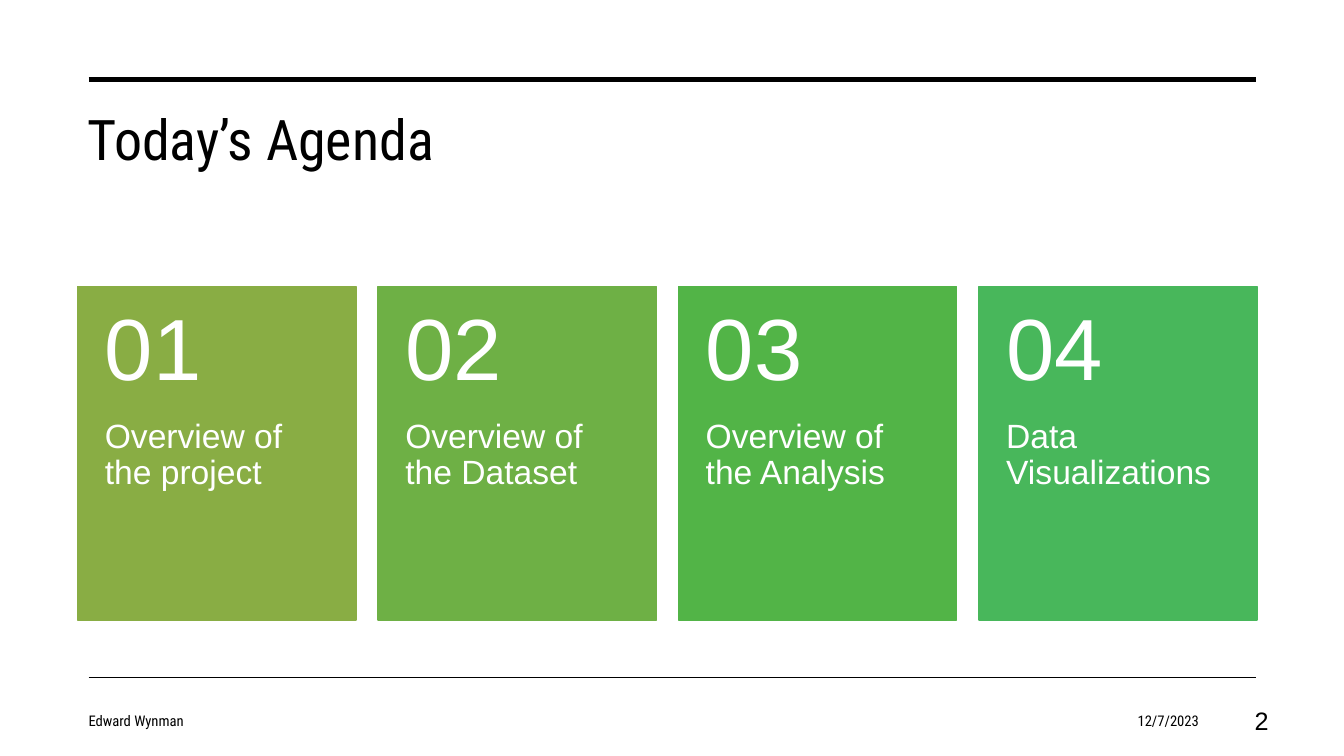
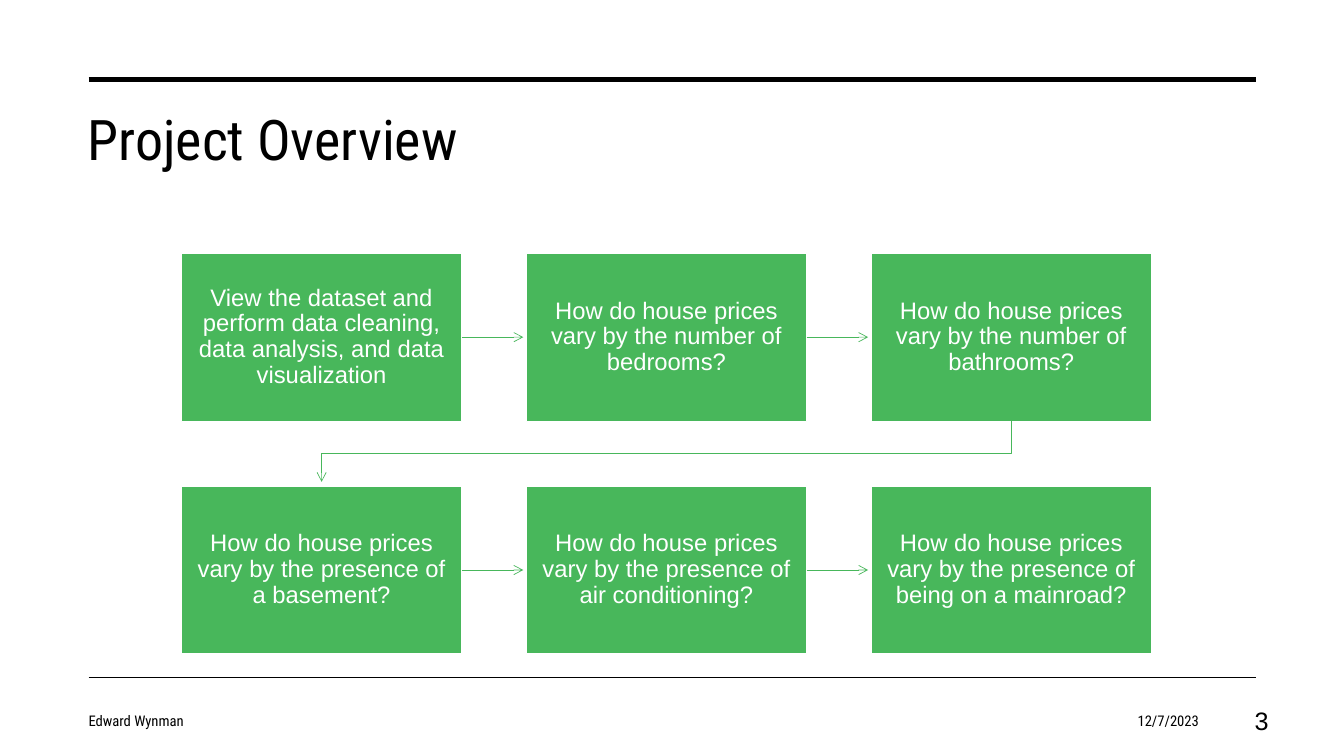
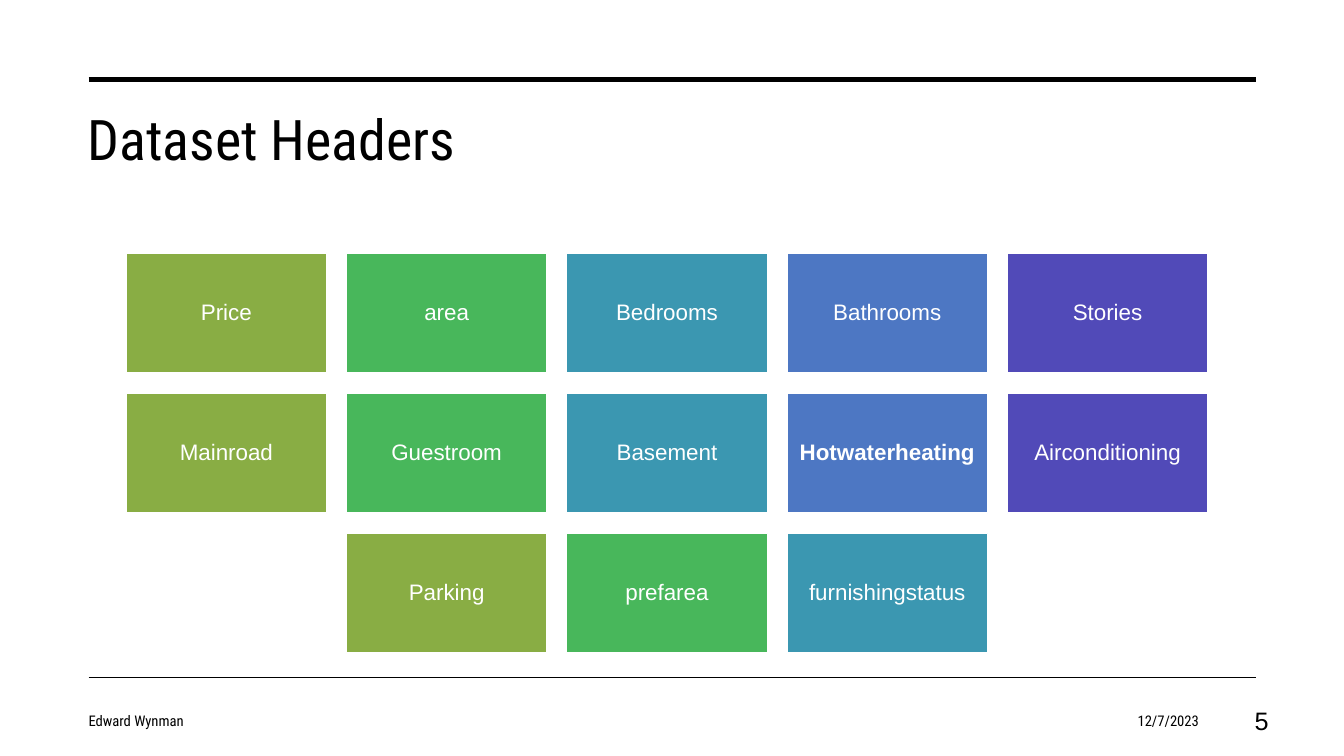
from lxml.etree import SubElement
from pptx import Presentation
from pptx.dml.color import RGBColor
from pptx.enum.shapes import MSO_CONNECTOR, MSO_SHAPE
from pptx.enum.text import MSO_ANCHOR, MSO_AUTO_SIZE, PP_ALIGN
from pptx.oxml.ns import qn
from pptx.util import Inches, Pt

COLORS = {
    "black": "000000", "white": "FFFFFF",
    "olive": "89AD44", "moss": "6EB045", "leaf": "52B447", "green": "48B75B",
    "teal": "3B97B1", "blue": "4D77C3", "violet": "514AB8",
}
RGB = {name: RGBColor.from_string(value) for name, value in COLORS.items()}
HEAD_FONT, BODY_FONT = "Roboto Condensed", "Arial"
LEFT, CENTER, RIGHT = PP_ALIGN.LEFT, PP_ALIGN.CENTER, PP_ALIGN.RIGHT
TOP, MIDDLE = MSO_ANCHOR.TOP, MSO_ANCHOR.MIDDLE


def write(sp, text, size, color="white", font=BODY_FONT, align=CENTER,
          anchor=MIDDLE, insets=(0.1, 0.05, 0.1, 0.05), spacing=0.9):
    """Put one formatted paragraph in a shape; insets run left, top, right, bottom."""
    tf = sp.text_frame
    tf.word_wrap = True
    tf.auto_size = MSO_AUTO_SIZE.NONE
    tf.vertical_anchor = anchor
    tf.margin_left, tf.margin_top, tf.margin_right, tf.margin_bottom = map(Inches, insets)
    p = tf.paragraphs[0]
    p.text = text
    p.alignment = align
    p.line_spacing = spacing
    p.font.size, p.font.name = Pt(size), font
    p.font.color.rgb = RGB[color]
    return p


def style_line(sp, color, width, arrow=False):
    """Colour a line, drop its shadow and add an arrowhead at its end if asked."""
    sp.line.color.rgb = RGB[color]
    sp.line.width = Pt(width)
    if arrow:
        SubElement(sp.line._get_or_add_ln(), qn("a:tailEnd"), type="arrow")
    if sp._element.spPr.find(qn("a:effectLst")) is None:
        SubElement(sp._element.spPr, qn("a:effectLst"))


prs = Presentation()
prs.slide_width, prs.slide_height = Inches(13.33), Inches(7.5)

# Title, rules and footer of every slide
slides = []
for title, number in [("Today’s Agenda", "2"), ("Project Overview", "3"), ("Dataset Headers", "5")]:
    s = prs.slides.add_slide(prs.slide_layouts[5])
    slides.append(s)
    sp = s.shapes.title
    sp.left, sp.top, sp.width, sp.height = map(Inches, (0.77, 0.99, 11.69, 1.26))
    write(sp, title, 40, "black", HEAD_FONT, LEFT, TOP, spacing=1.0)
    for y, width in [(0.79, 3.5), (6.72, 1)]:
        rule = s.shapes.add_connector(MSO_CONNECTOR.STRAIGHT, Inches(0.88), Inches(y),
                                      Inches(12.46), Inches(y))
        style_line(rule, "black", width)
    for x, w, text, size, font, align in [
        (0.78, 4.96, "Edward Wynman", 10.5, HEAD_FONT, LEFT),
        (9.15, 2.84, "12/7/2023", 10.5, HEAD_FONT, RIGHT),
        (11.94, 0.74, number, 18, BODY_FONT, RIGHT),
    ]:
        sp = s.shapes.add_textbox(Inches(x), Inches(6.95), Inches(w), Inches(0.4))
        write(sp, text, size, "black", font, align, spacing=1.0)
agenda, overview, headers = slides

# Agenda cards
card_w, card_h, card_top, number_h = 2.76, 3.31, 2.84, 1.32
cards = [("Overview of the project", "olive"), ("Overview of the Dataset", "moss"),
         ("Overview of the Analysis", "leaf"), ("Data Visualizations", "green")]
for i, (text, color) in enumerate(cards):
    x = Inches(0.77 + i * 2.98)
    card = agenda.shapes.add_shape(MSO_SHAPE.RECTANGLE, x, Inches(card_top),
                                   Inches(card_w), Inches(card_h))
    card.fill.solid()
    card.fill.fore_color.rgb = RGB[color]
    style_line(card, color, 1)
    sp = agenda.shapes.add_textbox(x, Inches(card_top + number_h),
                                   Inches(card_w), Inches(card_h - number_h))
    write(sp, text, 24, align=LEFT, anchor=TOP, insets=(0.27, 0, 0.27, 0.36))
    sp = agenda.shapes.add_textbox(x, Inches(card_top), Inches(card_w), Inches(number_h))
    write(sp, f"{i + 1:02}", 62, align=LEFT, insets=(0.27, 0.18, 0.27, 0.18))

# Project steps, three to a row, joined by arrows
step_w, step_h, step_left, step_top, pitch_x, pitch_y = 2.78, 1.67, 1.8, 2.51, 3.42, 2.31
steps = [
    "View the dataset and perform data cleaning, data analysis, and data visualization",
    "How do house prices vary by the number of bedrooms?",
    "How do house prices vary by the number of bathrooms?",
    "How do house prices vary by the presence of a basement?",
    "How do house prices vary by the presence of air conditioning?",
    "How do house prices vary by the presence of being on a mainroad?",
]
for i, text in enumerate(steps):
    row, col = divmod(i, 3)
    x, y = step_left + col * pitch_x, step_top + row * pitch_y
    step = overview.shapes.add_shape(MSO_SHAPE.RECTANGLE, Inches(x), Inches(y),
                                     Inches(step_w), Inches(step_h))
    step.fill.solid()
    step.fill.fore_color.rgb = RGB["green"]
    style_line(step, "white", 1)
    write(step, text, 17, insets=(0.14,) * 4)
    if col < 2:
        mid = Inches(y + step_h / 2)
        arrow = overview.shapes.add_connector(MSO_CONNECTOR.STRAIGHT, Inches(x + step_w), mid,
                                              Inches(x + pitch_x - 0.03), mid)
        style_line(arrow, "green", 0.5, arrow=True)

first_x = step_left + step_w / 2
last_x = first_x + 2 * pitch_x
fb = overview.shapes.build_freeform(Inches(last_x), Inches(step_top + step_h))
fb.add_line_segments([(Inches(x), Inches(y)) for x, y in
                      [(last_x, 4.5), (first_x, 4.5), (first_x, 4.78)]], close=False)
row_link = fb.convert_to_shape()
row_link.fill.background()
style_line(row_link, "green", 0.5, arrow=True)

# Dataset columns; the short last row is centred
names = [
    ["Price", "area", "Bedrooms", "Bathrooms", "Stories"],
    ["Mainroad", "Guestroom", "Basement", "Hotwaterheating", "Airconditioning"],
    ["Parking", "prefarea", "furnishingstatus"],
]
tile_colors = ["olive", "green", "teal", "blue", "violet"]
tile_w, tile_h, tile_left, tile_right = 1.99, 1.19, 1.25, 11.98
tile_pitch = (tile_right - tile_left - tile_w) / 4
for row, row_names in enumerate(names):
    indent = (5 - len(row_names)) / 2
    for col, (name, color) in enumerate(zip(row_names, tile_colors)):
        tile = headers.shapes.add_shape(
            MSO_SHAPE.RECTANGLE, Inches(tile_left + (col + indent) * tile_pitch),
            Inches(2.51 + row * 1.39), Inches(tile_w), Inches(tile_h))
        tile.fill.solid()
        tile.fill.fore_color.rgb = RGB[color]
        style_line(tile, "white", 1)
        p = write(tile, name, 16, insets=(0.07,) * 4)
        p.font.bold = name == "Hotwaterheating"

prs.save("out.pptx")
